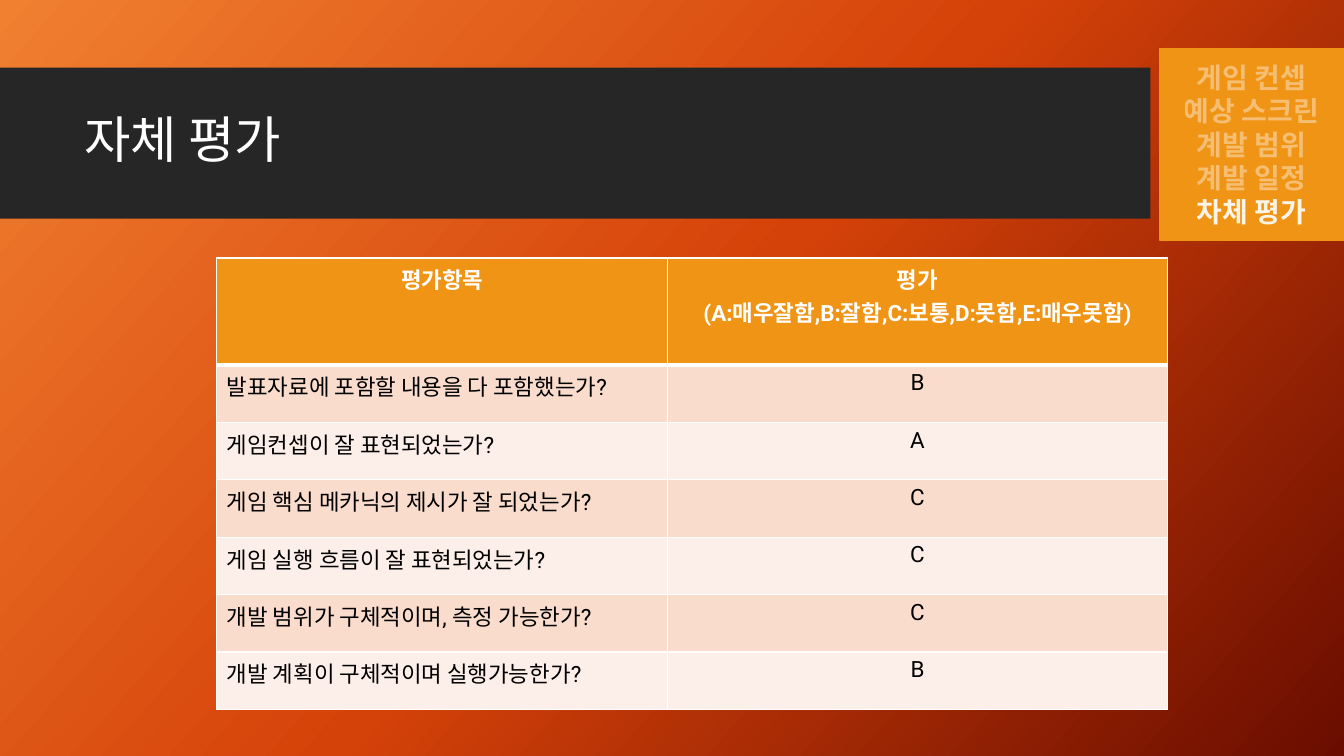
from lxml.etree import SubElement
from pptx import Presentation
from pptx.dml.color import RGBColor
from pptx.enum.shapes import MSO_SHAPE
from pptx.enum.text import MSO_ANCHOR, PP_ALIGN
from pptx.oxml import parse_xml
from pptx.oxml.ns import nsdecls, qn
from pptx.util import Inches, Pt

FONT = "Roboto"
WHITE = RGBColor(0xFF, 0xFF, 0xFF)
BLACK = RGBColor(0x00, 0x00, 0x00)
CHARCOAL = RGBColor(0x26, 0x26, 0x26)
AMBER = RGBColor(0xF0, 0x94, 0x15)
PEACH = RGBColor(0xF9, 0xDC, 0xCC)
PALE_PEACH = RGBColor(0xFC, 0xEE, 0xE8)
GRADIENT = [
    (0, RGBColor(0xF1, 0x80, 0x31)),
    (50, RGBColor(0xD5, 0x42, 0x09)),
    (100, RGBColor(0x6A, 0x0D, 0x00)),
]
GRADIENT_ANGLE = 42

SECTIONS = ["게임 컨셉", "예상 스크린", "계발 범위", "계발 일정", "차체 평가"]
CURRENT_SECTION = "차체 평가"
HEADINGS = ["평가항목", "평가\n(A:매우잘함,B:잘함,C:보통,D:못함,E:매우못함)"]
RATINGS = [
    ("발표자료에 포함할 내용을 다 포함했는가?", "B"),
    ("게임컨셉이 잘 표현되었는가?", "A"),
    ("게임 핵심 메카닉의 제시가 잘 되었는가?", "C"),
    ("게임 실행 흐름이 잘 표현되었는가?", "C"),
    ("개발 범위가 구체적이며, 측정 가능한가?", "C"),
    ("개발 계획이 구체적이며 실행가능한가?", "B"),
]


def style_paragraph(paragraph, size, color, bold=False, align=PP_ALIGN.LEFT):
    paragraph.alignment = align
    font = paragraph.font
    font.name = FONT
    font.size = Pt(size)
    font.bold = bold
    font.color.rgb = color


def add_background(slide):
    fill = slide.background.fill
    fill.gradient()
    fill.gradient_angle = 360 - GRADIENT_ANGLE
    stops = slide.background._cSld.find(".//" + qn("a:gsLst"))
    for stop in list(stops):
        stops.remove(stop)
    for position, color in GRADIENT:
        stop = SubElement(stops, qn("a:gs"), pos=str(position * 1000))
        SubElement(stop, qn("a:srgbClr"), val=str(color))


def add_rectangle(slide, left, top, width, height, color):
    shape = slide.shapes.add_shape(
        MSO_SHAPE.RECTANGLE, Inches(left), Inches(top), Inches(width), Inches(height)
    )
    shape.shadow.inherit = False
    shape.fill.solid()
    shape.fill.fore_color.rgb = color
    shape.line.fill.background()
    return shape


def add_title_band(slide, left, top, width, height, title):
    add_rectangle(slide, left, top, width, height, CHARCOAL)
    text_box = slide.shapes.add_textbox(
        Inches(left + 0.74), Inches(top + 0.15), Inches(width - 0.9), Inches(height - 0.32)
    )
    frame = text_box.text_frame
    frame.word_wrap = True
    frame.vertical_anchor = MSO_ANCHOR.MIDDLE
    paragraph = frame.paragraphs[0]
    paragraph.text = title
    paragraph.line_spacing = 0.9
    style_paragraph(paragraph, 36, WHITE)


def add_section_list(slide, left, top, width, height):
    shape = add_rectangle(slide, left, top, width, height, AMBER)
    shape.line.color.rgb = AMBER
    shape.line.width = Pt(1)
    frame = shape.text_frame
    frame.word_wrap = True
    frame.vertical_anchor = MSO_ANCHOR.MIDDLE
    frame.text = "\n".join(SECTIONS)
    for section, paragraph in zip(SECTIONS, frame.paragraphs):
        style_paragraph(paragraph, 20, WHITE, True, PP_ALIGN.CENTER)
        run = paragraph.runs[0]
        run.font.color.rgb = WHITE
        opacity = 90 if section == CURRENT_SECTION else 40
        color = run.font._element.find(".//" + qn("a:srgbClr"))
        SubElement(color, qn("a:alpha"), val=str(opacity * 1000))


def set_borders(cell, top, bottom):
    properties = cell._tc.get_or_add_tcPr()
    widths = [("lnL", 1), ("lnR", 1), ("lnT", top), ("lnB", bottom)]
    for index, (side, width) in enumerate(widths):
        border = parse_xml(
            f'<a:{side} {nsdecls("a")} w="{Pt(width)}"><a:solidFill>'
            f'<a:srgbClr val="{WHITE}"/></a:solidFill></a:{side}>'
        )
        properties.insert(index, border)


def add_rating_table(slide, left, top, column_widths, header_height, row_height):
    rows = [HEADINGS, *RATINGS]
    height = header_height + row_height * len(RATINGS)
    table = slide.shapes.add_table(
        len(rows), len(HEADINGS),
        Inches(left), Inches(top), Inches(sum(column_widths)), Inches(height),
    ).table
    for column, width in zip(table.columns, column_widths):
        column.width = Inches(width)
    for row_index, texts in enumerate(rows):
        header = row_index == 0
        table.rows[row_index].height = Inches(header_height if header else row_height)
        fill_color = AMBER if header else (PALE_PEACH, PEACH)[row_index % 2]
        for column_index, text in enumerate(texts):
            cell = table.cell(row_index, column_index)
            cell.text = text
            cell.fill.solid()
            cell.fill.fore_color.rgb = fill_color
            set_borders(cell, 3 if row_index == 1 else 1, 3 if header else 1)
            centered = header or column_index == 1
            align = PP_ALIGN.CENTER if centered else PP_ALIGN.LEFT
            for paragraph in cell.text_frame.paragraphs:
                style_paragraph(paragraph, 16, WHITE if header else BLACK, header, align)


def build_evaluation_slide(presentation):
    slide = presentation.slides.add_slide(presentation.slide_layouts[6])
    add_background(slide)
    add_title_band(slide, 0, 0.67, 11.41, 1.5, "자체 평가")
    add_section_list(slide, 11.5, 0.48, 1.83, 1.9)
    add_rating_table(slide, 2.15, 2.56, [4.47, 4.96], 1.06, 0.57)


presentation = Presentation()
presentation.slide_width = Inches(13.33)
presentation.slide_height = Inches(7.5)
build_evaluation_slide(presentation)
presentation.save("out.pptx")
